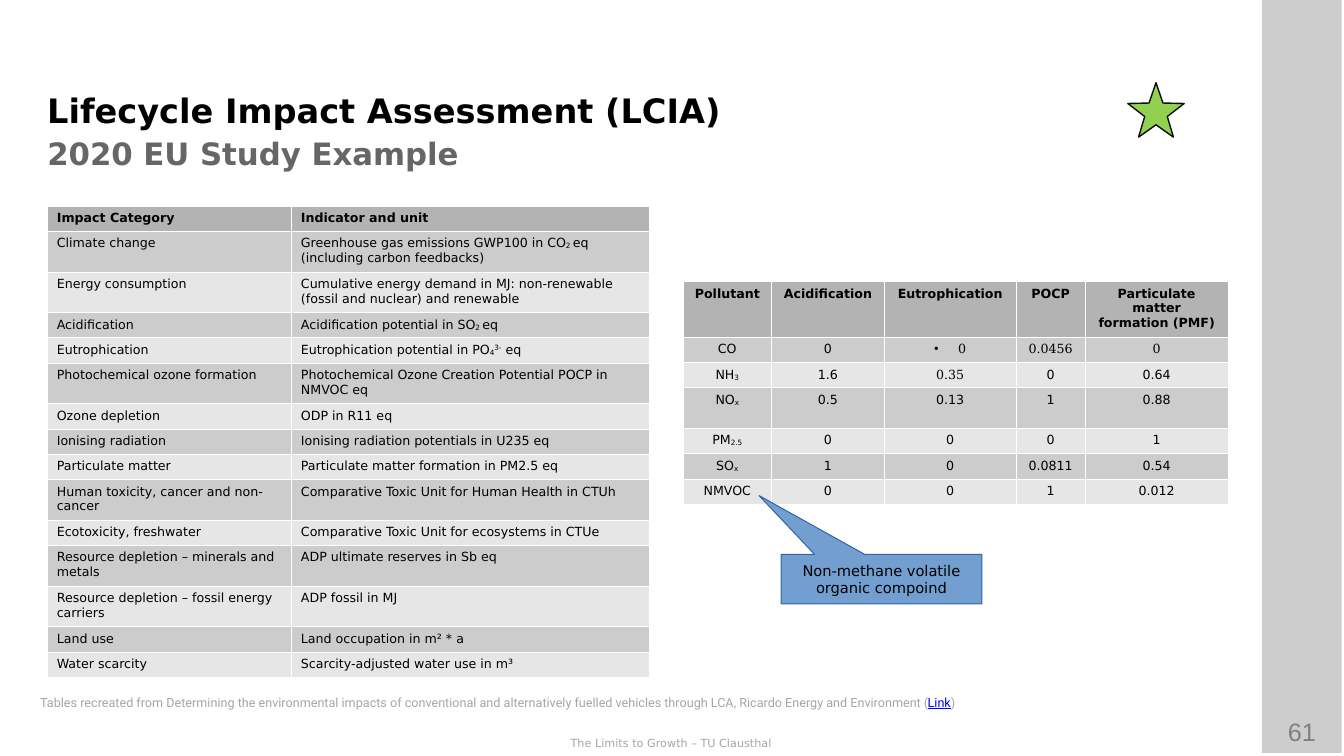
"""Builds the lifecycle impact assessment slide with its two tables."""
from pptx import Presentation
from pptx import util as u
from pptx.dml.color import RGBColor
from pptx.enum import shapes, text
from pptx.oxml import parse_xml
from pptx.oxml.ns import nsdecls

SANS, SERIF = "DejaVu Sans", "DejaVu Serif"
CENTER, LEFT = text.PP_ALIGN.CENTER, text.PP_ALIGN.LEFT
ONE_LINE, TWO_LINES, THREE_LINES = 17.9, 29, 39.6
BASELINES = {"_": "-8000", "^": "33000"}

IMPACTS = [
    ("Impact Category", "Indicator and unit"),
    ("Climate change", "Greenhouse gas emissions GWP100 in CO|_2 |eq (including carbon feedbacks)"),
    ("Energy consumption",
     "Cumulative energy demand in MJ: non-renewable (fossil and nuclear) and renewable"),
    ("Acidification", "Acidification potential in SO|_2 |eq"),
    ("Eutrophication", "Eutrophication potential in PO|_4|^3-| eq"),
    ("Photochemical ozone formation", "Photochemical Ozone Creation Potential POCP in NMVOC eq"),
    ("Ozone depletion", "ODP in R11 eq"),
    ("Ionising radiation", "Ionising radiation potentials in U235 eq"),
    ("Particulate matter", "Particulate matter formation in PM2.5 eq"),
    ("Human toxicity, cancer and non-cancer", "Comparative Toxic Unit for Human Health in CTUh"),
    ("Ecotoxicity, freshwater", "Comparative Toxic Unit for ecosystems in CTUe"),
    ("Resource depletion – minerals and metals", "ADP ultimate reserves in Sb eq"),
    ("Resource depletion – fossil energy carriers", "ADP fossil in MJ"),
    ("Land use", "Land occupation in m² * a"),
    ("Water scarcity", "Scarcity-adjusted water use in m³"),
]
TALL_IMPACTS = dict.fromkeys((1, 2, 5, 9, 11, 12), TWO_LINES)

POLLUTANTS = [
    ("Pollutant", "Acidification", "Eutrophication", "POCP", "Particulate matter formation (PMF)"),
    ("CO", "0", "0", "0.0456", "0"),
    ("NH|_3", "1.6", "0.35", "0", "0.64"),
    ("NO|_x", "0.5", "0.13", "1", "0.88"),
    ("PM|_2.5", "0", "0", "0", "1"),
    ("SO|_x", "1", "0", "0.0811", "0.54"),
    ("NMVOC", "0", "0", "1", "0.012"),
]
TALL_POLLUTANTS = {0: THREE_LINES, 3: TWO_LINES}
SERIF_CELLS = {(1, 2), (1, 3), (1, 4), (2, 2)}
BULLET_CELL = (1, 2)


def color(value):
    """Return the colour for a hex string."""
    return RGBColor.from_string(value)


def points(*lengths):
    """Turn numbers into lengths in points."""
    return [u.Pt(length) for length in lengths]


def style(font, size, name, hue, bold=False):
    """Set the looks of a font."""
    font.size, font.name, font.bold = u.Pt(size), name, bold
    font.color.rgb = color(hue)


def add_label(page, box, words, size, name, hue, bold=False, align=LEFT, grow=False):
    """Add a wrapped text box and return it."""
    label = page.shapes.add_textbox(*points(*box))
    frame = label.text_frame
    frame.word_wrap = True
    if grow:
        frame.auto_size = text.MSO_AUTO_SIZE.SHAPE_TO_FIT_TEXT
    para = frame.paragraphs[0]
    para.text, para.alignment = words, align
    style(para.font, size, name, hue, bold)
    return label


def add_shape(page, kind, box, fill, line=None, width=0):
    """Add a flat filled preset shape and return it."""
    shape = page.shapes.add_shape(kind, *points(*box))
    shape.shadow.inherit = False
    shape.fill.solid()
    shape.fill.fore_color.rgb = color(fill)
    if line:
        shape.line.color.rgb = color(line)
        shape.line.width = u.Pt(width)
    else:
        shape.line.fill.background()
    return shape


def add_bullet(para):
    """Give a paragraph a small round bullet with a hanging indent."""
    props = para._p.get_or_add_pPr()
    props.set("marL", str(u.Pt(17)))
    props.set("indent", str(u.Pt(-17)))
    for tag in ('buClr %s><a:srgbClr val="000000"/></a:buClr>',
                'buSzPct %s val="45000"/>', 'buChar %s char="●"/>'):
        props.append(parse_xml("<a:" + tag % nsdecls("a")))


def fill_cell(cell, words, hue, bold, align, name, bullet):
    """Write one table cell with thin white borders."""
    props = cell._tc.get_or_add_tcPr()
    for side in "LRTB":
        props.append(parse_xml(
            f'<a:ln{side} {nsdecls("a")} w="762"><a:solidFill>'
            f'<a:srgbClr val="FFFFFF"/></a:solidFill></a:ln{side}>'))
    cell.fill.solid()
    cell.fill.fore_color.rgb = color(hue)
    para = cell.text_frame.paragraphs[0]
    para.alignment = align
    if bullet:
        add_bullet(para)
    for piece in words.split("|"):
        span = para.add_run()
        span.text = piece.lstrip("_^")
        if piece[0] in BASELINES:
            span._r.get_or_add_rPr().set("baseline", BASELINES[piece[0]])
    style(para.font, 9, name, "000000", bold)


def add_grid(page, left, top, widths, rows, tall, align, serif=(), bullet=None):
    """Add a banded table with a bold header row."""
    heights = [tall.get(index, ONE_LINE) for index in range(len(rows))]
    grid = page.shapes.add_table(
        len(rows), len(widths), *points(left, top, sum(widths), sum(heights))).table
    grid.horz_banding = False
    for column, width in zip(grid.columns, widths):
        column.width = u.Pt(width)
    for r, words in enumerate(rows):
        grid.rows[r].height = u.Pt(heights[r])
        hue = "B3B3B3" if r == 0 else ("E6E6E6", "CCCCCC")[r % 2]
        for c, word in enumerate(words):
            name = SERIF if (r, c) in serif else SANS
            cell = grid.cell(r, c)
            cell.margin_left = cell.margin_right = u.Pt(7.2)
            cell.margin_top = cell.margin_bottom = u.Pt(3.6)
            fill_cell(cell, word, hue, r == 0, align, name, (r, c) == bullet)


def add_frame(page, left, width, height):
    """Add the shaded sidebar, the page number and the footer."""
    for _ in range(2):
        band = add_shape(page, shapes.MSO_SHAPE.RECTANGLE, (left, 0, width, height), "000000")
        hue = band.fill._xPr.find(".//{*}srgbClr")
        hue.append(parse_xml(f'<a:alpha {nsdecls("a")} val="10000"/>'))
    add_label(page, (left - 0.7, 508.3, 58.3, 28.8), "61", 18, "Arial", "808080",
              align=CENTER, grow=True)
    add_label(page, (0, 522.7, 959, 16.6), "The Limits to Growth – TU Clausthal", 8, SANS,
              "A6A6A6", align=CENTER, grow=True)


def add_heading(page, left, top):
    """Add the title, the subtitle and the star."""
    add_label(page, (left, top, 845, 38), "Lifecycle Impact Assessment (LCIA)", 24, SANS,
              "000000", True)
    subtitle = add_label(page, (left + 7.2, top + 30.2, 813.6, 37.4), "2020 EU Study Example",
                         22, SANS, "666666", True).text_frame
    subtitle.margin_left = subtitle.margin_right = 0
    subtitle.margin_top = subtitle.margin_bottom = 0
    subtitle.vertical_anchor = text.MSO_ANCHOR.MIDDLE
    star = add_shape(page, shapes.MSO_SHAPE.STAR_5_POINT, (left + 779, top - 1.4, 40.3, 38.9),
                     "92D050", "0D0D0D", 1)
    star.adjustments[0] = 0.2


def add_callout(page, box):
    """Add the callout that explains NMVOC."""
    callout = add_shape(page, shapes.MSO_SHAPE.RECTANGULAR_CALLOUT, box, "729FCF", "3465A4")
    callout.adjustments[0], callout.adjustments[1] = -0.61, -1.69
    frame = callout.text_frame
    frame.word_wrap = True
    frame.vertical_anchor = text.MSO_ANCHOR.MIDDLE
    para = frame.paragraphs[0]
    para.text, para.alignment = "Non-methane volatile organic compoind", CENTER
    style(para.font, 10.5, SANS, "000000")


def add_credit(page, box):
    """Add the line that names the tables' origin."""
    label = add_label(page, box, "Tables recreated from Determining the environmental impacts of "
                      "conventional and alternatively fuelled vehicles through LCA, "
                      "Ricardo Energy and Environment (", 9, "Roboto", "A6A6A6", grow=True)
    para = label.text_frame.paragraphs[0]
    link = para.add_run()
    link.text = "Link"
    link.font.underline = True
    link.font.color.rgb = color("0000FF")
    para.add_run().text = ")"


def main():
    """Build and save the deck."""
    deck = Presentation()
    deck.slide_width, deck.slide_height = points(960, 540)
    page = deck.slides.add_slide(deck.slide_layouts[6])
    add_frame(page, 901.4, 56.9, 537.8)
    add_heading(page, 26.6, 60.5)
    add_grid(page, 33.4, 147, (174.4, 255.6), IMPACTS, TALL_IMPACTS, LEFT)
    add_grid(page, 488, 201, (63, 80.7, 94, 49.5, 102), POLLUTANTS, TALL_POLLUTANTS, CENTER,
             SERIF_CELLS, BULLET_CELL)
    add_callout(page, (558, 396, 143.3, 35.3))
    add_credit(page, (21.6, 492.5, 877.7, 19.4))
    deck.save("out.pptx")


if __name__ == "__main__":
    main()
